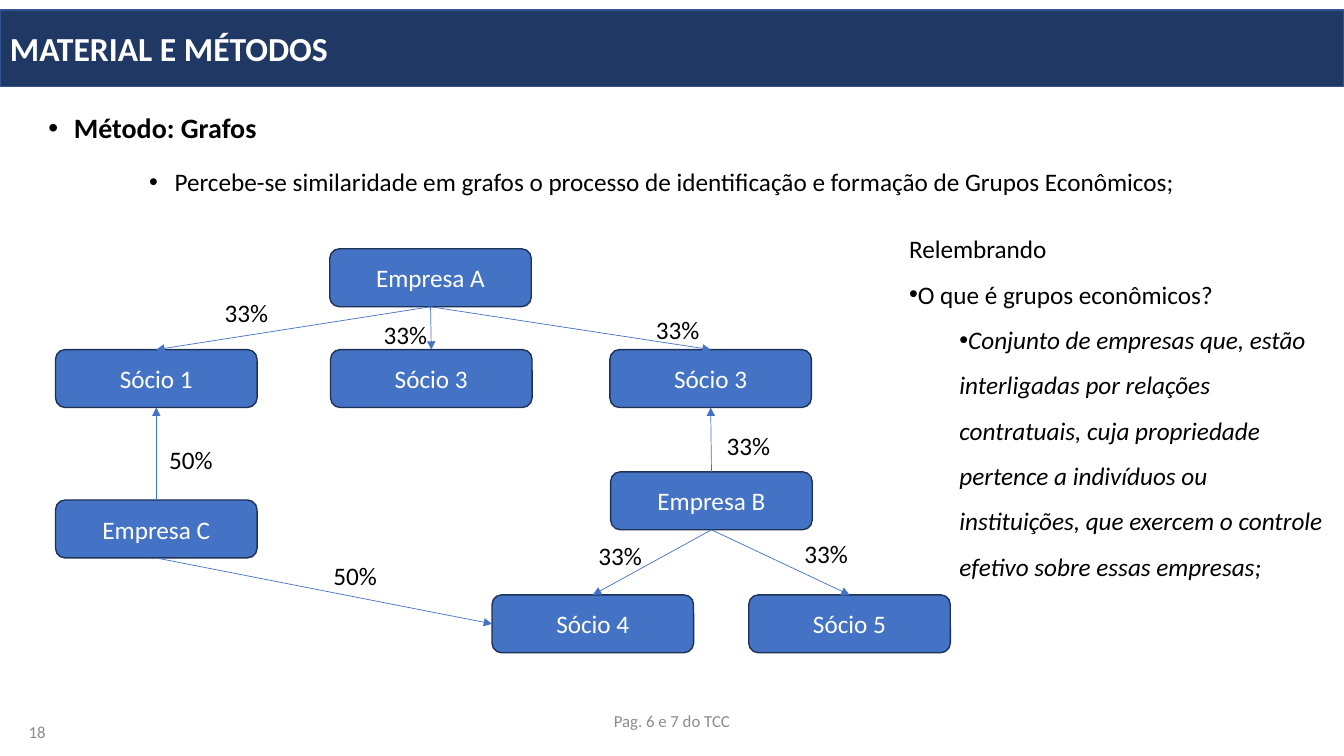
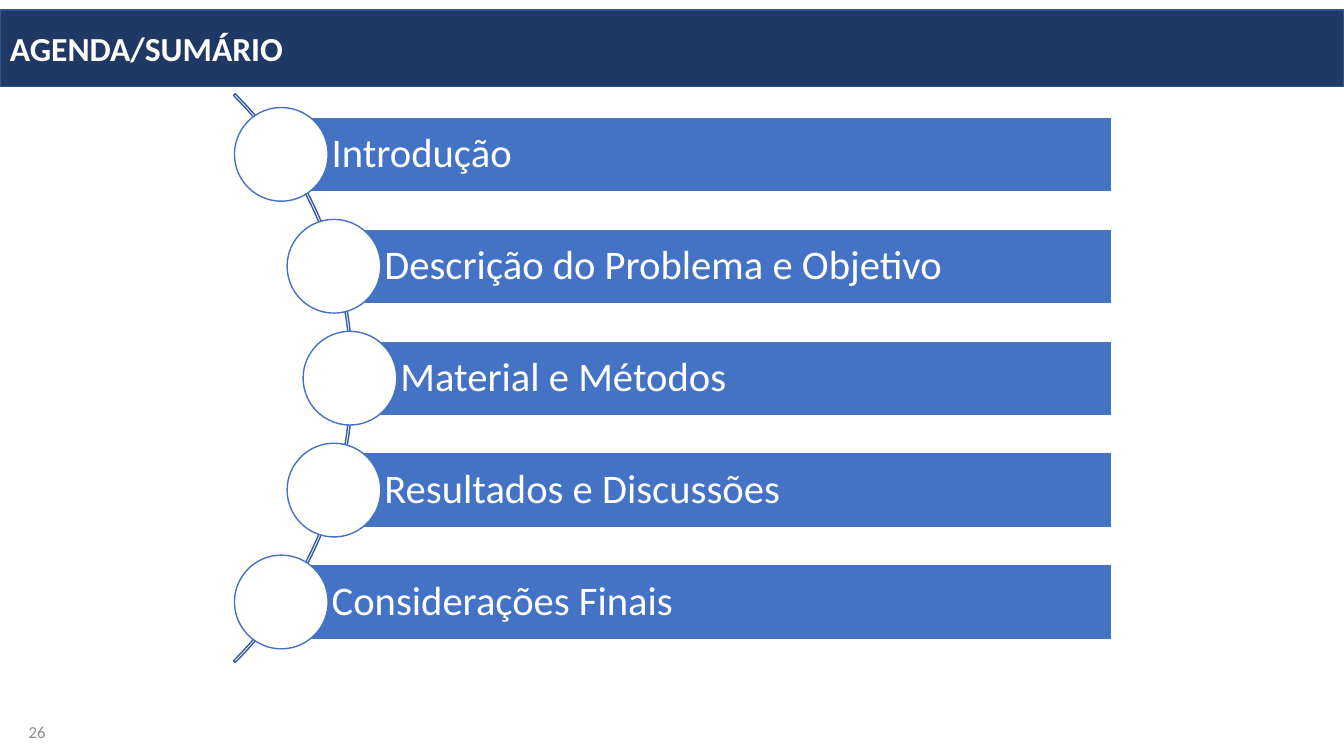
from math import sqrt

from lxml import etree
from pptx import Presentation
from pptx.dml.color import RGBColor
from pptx.enum.shapes import MSO_CONNECTOR, MSO_SHAPE
from pptx.enum.text import MSO_ANCHOR, PP_ALIGN
from pptx.oxml.ns import qn
from pptx.util import Cm, Pt

RECT, ROUND_RECT = MSO_SHAPE.RECTANGLE, MSO_SHAPE.ROUNDED_RECTANGLE
OVAL, BLOCK_ARC = MSO_SHAPE.OVAL, MSO_SHAPE.BLOCK_ARC
STRAIGHT = MSO_CONNECTOR.STRAIGHT
TOP, MIDDLE = MSO_ANCHOR.TOP, MSO_ANCHOR.MIDDLE
LEFT, CENTER, RIGHT = PP_ALIGN.LEFT, PP_ALIGN.CENTER, PP_ALIGN.RIGHT
SIDE_TOP, SIDE_LEFT, SIDE_BOTTOM = 0, 1, 2


class Theme:
    font = "Calibri"
    navy, navy_edge = "203864", "325491"
    blue, node_edge, arc_edge = "4472C4", "1E3256", "365B9D"
    white, black, gray = "FFFFFF", "000000", "8C8C8C"
    title, heading, body, footer, agenda = 24, 20, 18, 12, 29
    border, arrow = 1, 0.5


# Content: all lengths in centimetres
PAGE_WIDTH, PAGE_HEIGHT = 33.87, 19.05

GRAPH = {
    "title": "MATERIAL E MÉTODOS",
    "number": "18",
    "footer": "Pag. 6 e 7 do TCC",
}
AGENDA = {"title": "AGENDA/SUMÁRIO", "number": "26"}

METHOD = [
    {"text": "Método: Grafos", "size": Theme.heading, "bold": True,
     "margin": 0.64, "indent": -0.64, "bullet": True},
    {"text": "Percebe-se similaridade em grafos o processo de identificação "
             "e formação de Grupos Econômicos;",
     "margin": 3.18, "indent": -0.64, "bullet": True, "before": 5},
]
REMINDER = [
    {"text": "Relembrando", "margin": 1.27},
    {"text": "O que é grupos econômicos?", "margin": 1.27, "bullet": True},
    {"text": "Conjunto de empresas que, estão interligadas por relações "
             "contratuais, cuja propriedade pertence a indivíduos ou "
             "instituições, que exercem o controle efetivo sobre essas "
             "empresas;",
     "margin": 2.54, "bullet": True, "italic": True},
]

# key: (label, left, top)
NODE_SIZE = (5.08, 1.46)
NODES = {
    "company_a": ("Empresa A", 8.31, 6.27),
    "partner_1": ("Sócio 1", 1.4, 8.81),
    "partner_2": ("Sócio 3", 8.33, 8.81),
    "partner_3": ("Sócio 3", 15.37, 8.81),
    "company_b": ("Empresa B", 15.39, 11.89),
    "partner_4": ("Sócio 4", 12.4, 14.99),
    "partner_5": ("Sócio 5", 18.87, 14.99),
    "company_c": ("Empresa C", 1.4, 12.6),
}
# (from, side, to, side, share, label left, label top)
SHARE_SIZE = (1.63, 1.02)
LINKS = [
    ("company_a", SIDE_BOTTOM, "partner_1", SIDE_TOP, "33%", 5.41, 7.37),
    ("company_a", SIDE_BOTTOM, "partner_2", SIDE_TOP, "33%", 9.42, 7.92),
    ("company_a", SIDE_BOTTOM, "partner_3", SIDE_TOP, "33%", 16.28, 7.8),
    ("company_b", SIDE_TOP, "partner_3", SIDE_BOTTOM, "33%", 18.06, 10.72),
    ("company_b", SIDE_BOTTOM, "partner_4", SIDE_TOP, "33%", 14.83, 13.49),
    ("company_b", SIDE_BOTTOM, "partner_5", SIDE_TOP, "33%", 20.02, 13.44),
    ("company_c", SIDE_TOP, "partner_1", SIDE_BOTTOM, "50%", 4.01, 11.07),
    ("company_c", SIDE_BOTTOM, "partner_4", SIDE_LEFT, "50%", 8.15, 14),
]

TOPICS = [
    "Introdução",
    "Descrição do Problema e Objetivo",
    "Material e Métodos",
    "Resultados e Discussões",
    "Considerações Finais",
]
ARC_X, ARC_Y, ARC_DIAMETER = -1.24, 9.53, 20.27
TOPIC_RADIUS, TOPIC_STEP = 10.06, 2.82
BAR_RIGHT, BAR_HEIGHT, CIRCLE = 28.01, 1.88, 2.36


# Helpers
def color(value):
    return RGBColor.from_string(value)


def set_values(target, values):
    for name, value in values.items():
        setattr(target, name, value)


def write(box, items, ink=Theme.black, align=LEFT, anchor=TOP, spacing=None,
          wrap=True):
    frame = box.text_frame
    set_values(frame, {"word_wrap": wrap, "vertical_anchor": anchor})
    for index, item in enumerate(items):
        para = frame.add_paragraph() if index else frame.paragraphs[0]
        set_values(para, {"alignment": align, "line_spacing": spacing,
                          "space_before": Pt(item.get("before", 0))})
        properties = para._p.get_or_add_pPr()
        properties.set("marL", str(Cm(item.get("margin", 0))))
        properties.set("indent", str(Cm(item.get("indent", 0))))
        if item.get("bullet"):
            bullet_font = etree.SubElement(properties, qn("a:buFont"))
            bullet_font.set("typeface", "Arial")
            etree.SubElement(properties, qn("a:buChar")).set("char", "•")
        span = para.add_run()
        span.text = item["text"]
        set_values(span.font, {
            "name": Theme.font,
            "size": Pt(item.get("size", Theme.body)),
            "bold": item.get("bold", False),
            "italic": item.get("italic", False),
        })
        span.font.color.rgb = color(ink)


def add_box(page, kind, left, top, width, height, fill, edge):
    box = page.shapes.add_shape(kind, Cm(left), Cm(top), Cm(width), Cm(height))
    box.shadow.inherit = False
    if fill:
        box.fill.solid()
        box.fill.fore_color.rgb = color(fill)
    else:
        box.fill.background()
    box.line.color.rgb = color(edge)
    box.line.width = Pt(Theme.border)
    return box


def add_text(page, left, top, width, height, items, **layout):
    box = page.shapes.add_textbox(Cm(left), Cm(top), Cm(width), Cm(height))
    write(box, items, **layout)


def add_arrow(page, start, start_side, end, end_side):
    arrow = page.shapes.add_connector(STRAIGHT, 0, 0, 0, 0)
    arrow.begin_connect(start, start_side)
    arrow.end_connect(end, end_side)
    arrow.line.color.rgb = color(Theme.blue)
    arrow.line.width = Pt(Theme.arrow)
    line = arrow.line._get_or_add_ln()
    etree.SubElement(line, qn("a:tailEnd")).set("type", "triangle")
    etree.SubElement(arrow._element.spPr, qn("a:effectLst"))


def add_page(deck, content):
    page = deck.slides.add_slide(deck.slide_layouts[6])
    band = add_box(page, RECT, 0, 0.25, PAGE_WIDTH, 1.93,
                   Theme.navy, Theme.navy_edge)
    write(band, [{"text": content["title"], "size": Theme.title, "bold": True}],
          ink=Theme.white, anchor=MIDDLE)
    if "footer" in content:
        add_text(page, 11.22, 17.66, 11.43, 1.01,
                 [{"text": content["footer"], "size": Theme.footer}],
                 ink=Theme.gray, align=CENTER, anchor=MIDDLE)
    add_text(page, 0.2, 17.94, 1.2, 1.01,
             [{"text": content["number"], "size": Theme.footer}],
             ink=Theme.gray, align=RIGHT, anchor=MIDDLE)
    return page


# Slides
def build_graph(deck):
    page = add_page(deck, GRAPH)
    nodes = {}
    for key, (label, left, top) in NODES.items():
        nodes[key] = add_box(page, ROUND_RECT, left, top, *NODE_SIZE,
                             Theme.blue, Theme.node_edge)
        write(nodes[key], [{"text": label}], ink=Theme.white, align=CENTER,
              anchor=MIDDLE)
    for start, start_side, end, end_side, share, left, top in LINKS:
        add_arrow(page, nodes[start], start_side, nodes[end], end_side)
        add_text(page, left, top, *SHARE_SIZE, [{"text": share}], wrap=False)
    add_text(page, 0.97, 2.24, 31.8, 3.02, METHOD, spacing=1.5)
    add_text(page, 21.39, 5.38, 12.45, 9.37, REMINDER, spacing=1.5)


def build_agenda(deck):
    page = add_page(deck, AGENDA)
    arc = add_box(page, BLOCK_ARC, ARC_X - ARC_DIAMETER / 2,
                  ARC_Y - ARC_DIAMETER / 2, ARC_DIAMETER, ARC_DIAMETER,
                  None, Theme.arc_edge)
    for index, value in enumerate((189, 27, 0.003)):
        arc.adjustments[index] = value

    # Each bar starts at the centre of its circle, which lies on the arc
    for index, topic in enumerate(TOPICS):
        offset = (index - (len(TOPICS) - 1) / 2) * TOPIC_STEP
        x = ARC_X + sqrt(TOPIC_RADIUS ** 2 - offset ** 2)
        y = ARC_Y + offset
        bar = add_box(page, RECT, x, y - BAR_HEIGHT / 2, BAR_RIGHT - x,
                      BAR_HEIGHT, Theme.blue, Theme.white)
        set_values(bar.text_frame, {
            "margin_left": Cm(1.27), "margin_right": Cm(0.2),
            "margin_top": Cm(0.2), "margin_bottom": Cm(0.2)})
        write(bar, [{"text": topic, "size": Theme.agenda}], ink=Theme.white,
              anchor=MIDDLE, spacing=0.9)
        add_box(page, OVAL, x - CIRCLE / 2, y - CIRCLE / 2, CIRCLE, CIRCLE,
                Theme.white, Theme.blue)


def main():
    deck = Presentation()
    deck.slide_width, deck.slide_height = Cm(PAGE_WIDTH), Cm(PAGE_HEIGHT)
    build_graph(deck)
    build_agenda(deck)
    deck.save("out.pptx")


if __name__ == "__main__":
    main()
